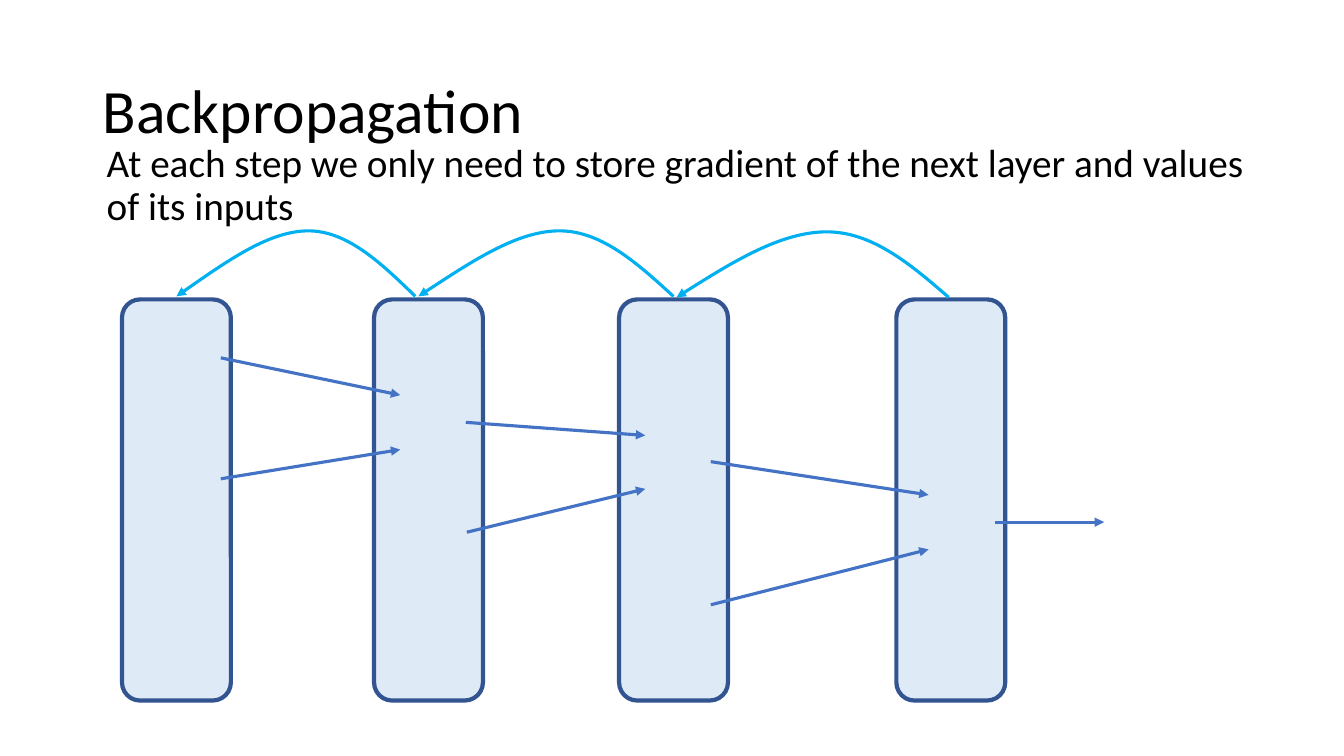
from dataclasses import dataclass

from lxml import etree
from pptx import Presentation
from pptx.dml.color import RGBColor
from pptx.enum.shapes import MSO_CONNECTOR, MSO_SHAPE
from pptx.enum.text import MSO_ANCHOR, MSO_AUTO_SIZE, PP_ALIGN
from pptx.oxml.ns import qn
from pptx.util import Pt

EMU_PER_PX = 9144  # 100 px to the inch
TITLE_ONLY = 5
STRAIGHT = MSO_CONNECTOR.STRAIGHT
ROUNDED = MSO_SHAPE.ROUNDED_RECTANGLE
LEFT = PP_ALIGN.LEFT
TOP, MIDDLE = MSO_ANCHOR.TOP, MSO_ANCHOR.MIDDLE
NO_AUTOFIT = MSO_AUTO_SIZE.NONE


@dataclass(frozen=True)
class Theme:
    font: str = "Calibri"
    text: str = "000000"
    layer_fill: str = "DEEBF7"
    layer_line: str = "325491"
    forward: str = "4472C4"
    gradient: str = "00B0F0"
    title_size: float = 44
    body_size: float = 28
    layer_width: float = 3
    arrow_width: float = 2.25


LAYER_TOP, LAYER_WIDTH, LAYER_HEIGHT = 297, 108, 398
LAYER_LEFTS = (121, 371, 614, 889)

FORWARD_ARROWS = (
    ((219, 355), (397, 392)),
    ((219, 475), (397, 446)),
    ((462, 419), (640, 432)),
    ((463, 528), (640, 485)),
    ((705, 458), (921, 491)),
    ((705, 600), (921, 545)),
    ((987, 518), (1095, 518)),
)

# start x, peak x, end x, base y, peak y
GRADIENT_ARCS = (
    (941, 820, 671, 295, 230),
    (668, 555, 415, 294, 229),
    (412, 306, 175, 294, 229),
)


def px(*lengths):
    return [round(length * EMU_PER_PX) for length in lengths]


def between(start, end, share):
    return round(start + (end - start) * share)


def style_line(line, color, width):
    line.color.rgb = RGBColor.from_string(color)
    line.width = Pt(width)


def add_arrowhead(shape):
    line = shape.line._get_or_add_ln()
    etree.SubElement(line, qn("a:tailEnd"), type="triangle")


def write(frame, text, *, font, size, color, anchor=TOP):
    frame.word_wrap = True
    frame.auto_size = NO_AUTOFIT
    frame.vertical_anchor = anchor
    para = frame.paragraphs[0]
    para.alignment = LEFT
    para.line_spacing = 0.9
    para.space_before = Pt(0)
    span = para.add_run()
    span.text = text
    span.font.name = font
    span.font.size = Pt(size)
    span.font.color.rgb = RGBColor.from_string(color)


class Page:
    def __init__(self, deck, theme):
        self.theme = theme
        self.slide = deck.slides.add_slide(deck.slide_layouts[TITLE_ONLY])
        self.shapes = self.slide.shapes

    def title(self, text, left, top, width, height):
        box = self.shapes.title
        box.left, box.top, box.width, box.height = px(left, top, width, height)
        write(box.text_frame, text, font=self.theme.font, size=self.theme.title_size,
              color=self.theme.text, anchor=MIDDLE)

    def body(self, text, left, top, width, height):
        box = self.shapes.add_textbox(*px(left, top, width, height))
        write(box.text_frame, text, font=self.theme.font, size=self.theme.body_size,
              color=self.theme.text)

    def layer(self, left):
        box = self.shapes.add_shape(
            ROUNDED, *px(left, LAYER_TOP, LAYER_WIDTH, LAYER_HEIGHT))
        box.shadow.inherit = False
        box.fill.solid()
        box.fill.fore_color.rgb = RGBColor.from_string(self.theme.layer_fill)
        style_line(box.line, self.theme.layer_line, self.theme.layer_width)

    def arrow(self, start, end):
        arrow = self.shapes.add_connector(STRAIGHT, *px(*start, *end))
        style_line(arrow.line, self.theme.forward, self.theme.arrow_width)
        add_arrowhead(arrow)
        etree.SubElement(arrow._element.spPr, qn("a:effectLst"))

    def arc(self, start, peak, end, base, top):
        """Draw an arrow of two cubic curves that meet at the peak."""
        middle = (base + top) / 2
        points = [
            (between(start, peak, 0.31), middle),
            (between(start, peak, 0.63), top),
            (peak, top),
            (between(peak, end, 0.3), top),
            (between(peak, end, 0.65), middle),
            (end, base),
        ]
        builder = self.shapes.build_freeform(start, base, scale=EMU_PER_PX)
        builder.add_line_segments(points, close=False)
        arc = builder.convert_to_shape()
        segments = arc._element.xpath(".//a:lnTo")
        outline = segments[0].getparent()
        for first in range(0, len(segments), 3):
            curve = etree.SubElement(outline, qn("a:cubicBezTo"))
            for segment in segments[first:first + 3]:
                curve.append(segment[0])
                outline.remove(segment)
        arc.shadow.inherit = False
        arc.fill.background()
        style_line(arc.line, self.theme.gradient, self.theme.arrow_width)
        add_arrowhead(arc)


def main():
    deck = Presentation()
    deck.slide_width, deck.slide_height = px(1333, 750)
    page = Page(deck, Theme())
    for left in LAYER_LEFTS:
        page.layer(left)
    page.title("Backpropagation", 92, 40, 1150, 145)
    page.body("At each step we only need to store gradient of the next layer "
              "and values of its inputs", 96, 138, 1150, 131)
    for start, end in FORWARD_ARROWS:
        page.arrow(start, end)
    for arc in GRADIENT_ARCS:
        page.arc(*arc)
    deck.save("out.pptx")


if __name__ == "__main__":
    main()
